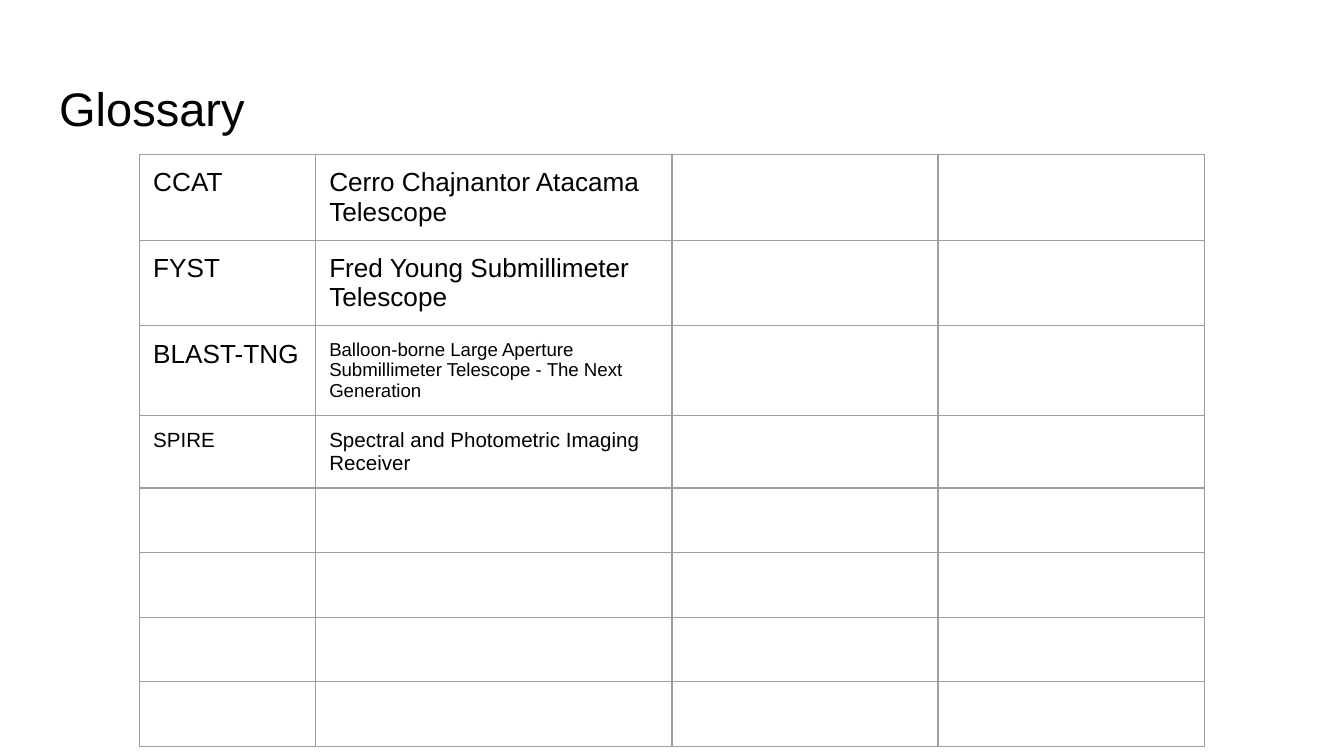
from lxml import etree
from pptx import Presentation
from pptx.dml.color import RGBColor
from pptx.enum.text import MSO_ANCHOR, MSO_AUTO_SIZE, PP_ALIGN
from pptx.oxml.ns import qn
from pptx.util import Inches, Pt

BLACK = RGBColor(0x00, 0x00, 0x00)
BORDER_GRAY = RGBColor(0x9E, 0x9E, 0x9E)
FONT_NAME = "Arial"
LEFT = PP_ALIGN.LEFT
TOP, MIDDLE = MSO_ANCHOR.TOP, MSO_ANCHOR.MIDDLE
NO_AUTOFIT = MSO_AUTO_SIZE.NONE
TITLE_ONLY = 5

SLIDE_WIDTH = 10
SLIDE_HEIGHT = SLIDE_WIDTH * 9 / 16
PADDING = 0.1
COLUMN_WIDTHS = [1.31, 2.65, 1.98, 1.98]
ROW_COUNT = 8
ROW_HEIGHT = 0.42
BORDER_WIDTH = 0.75
EMPTY_CELL_SIZE = 18

# Each entry: term, its size, meaning, its size
GLOSSARY = [
    ("CCAT", 14, "Cerro Chajnantor Atacama Telescope", 14),
    ("FYST", 14, "Fred Young Submillimeter Telescope", 14),
    ("BLAST-TNG", 14,
     "Balloon-borne Large Aperture Submillimeter Telescope - The Next Generation", 10),
    ("SPIRE", 11, "Spectral and Photometric Imaging Receiver", 11),
]


def set_margins(box):
    """Give a cell or text frame the same padding on all sides."""
    box.margin_left = box.margin_right = Inches(PADDING)
    box.margin_top = box.margin_bottom = Inches(PADDING)


def add_run(paragraph, text, size):
    run = paragraph.add_run()
    run.text = text
    run.font.name = FONT_NAME
    run.font.size = Pt(size)
    run.font.bold = False
    run.font.color.rgb = BLACK


def set_empty_font(paragraph):
    """Set the font that decides the height of a paragraph without runs."""
    end = etree.SubElement(paragraph._p, qn("a:endParaRPr"),
                           sz=str(EMPTY_CELL_SIZE * 100))
    etree.SubElement(end, qn("a:latin"), typeface=FONT_NAME)


def set_borders(cell):
    properties = cell._tc.get_or_add_tcPr()
    for position, side in enumerate(("a:lnL", "a:lnR", "a:lnT", "a:lnB")):
        line = etree.Element(qn(side), w=str(Pt(BORDER_WIDTH)))
        fill = etree.SubElement(line, qn("a:solidFill"))
        etree.SubElement(fill, qn("a:srgbClr"), val=str(BORDER_GRAY))
        properties.insert(position, line)


def place_title(slide, left, top, width, height):
    title = slide.shapes.title
    title.left, title.top = Inches(left), Inches(top)
    title.width, title.height = Inches(width), Inches(height)
    frame = title.text_frame
    set_margins(frame)
    frame.word_wrap = True
    frame.auto_size = NO_AUTOFIT
    frame.vertical_anchor = MIDDLE
    paragraph = frame.paragraphs[0]
    paragraph.alignment = LEFT
    add_run(paragraph, "Glossary", 25.2)


def add_glossary_table(slide, left, top):
    frame = slide.shapes.add_table(
        ROW_COUNT, len(COLUMN_WIDTHS), Inches(left), Inches(top),
        Inches(sum(COLUMN_WIDTHS)), Inches(ROW_COUNT * ROW_HEIGHT))
    table = frame.table
    table.first_row = table.horz_banding = False
    for column, width in zip(table.columns, COLUMN_WIDTHS):
        column.width = Inches(width)
    for row in table.rows:
        row.height = Inches(ROW_HEIGHT)
    for row, (term, term_size, meaning, meaning_size) in enumerate(GLOSSARY):
        entries = ((term, term_size), (meaning, meaning_size))
        for column, (text, size) in enumerate(entries):
            add_run(table.cell(row, column).text_frame.paragraphs[0], text, size)
    for cell in table.iter_cells():
        set_margins(cell)
        cell.vertical_anchor = TOP
        cell.fill.background()
        set_borders(cell)
        if not cell.text:
            set_empty_font(cell.text_frame.paragraphs[0])


def main():
    presentation = Presentation()
    presentation.slide_width = Inches(SLIDE_WIDTH)
    presentation.slide_height = Inches(SLIDE_HEIGHT)
    slide = presentation.slides.add_slide(presentation.slide_layouts[TITLE_ONLY])
    place_title(slide, 0.34, 0.49, 9.32, 0.63)
    add_glossary_table(slide, 1.04, 1.15)
    presentation.save("out.pptx")


if __name__ == "__main__":
    main()
